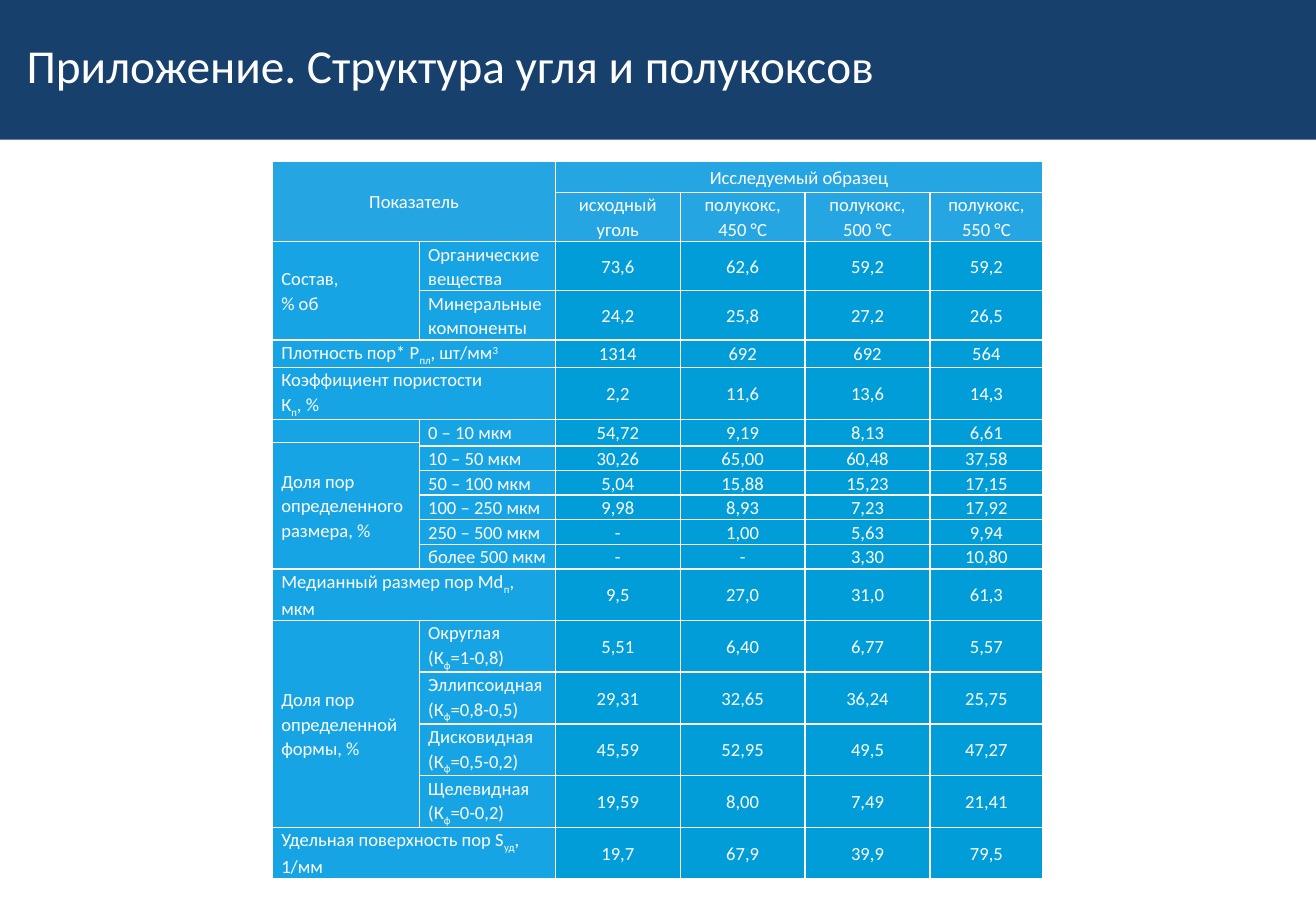
"""Build the appendix slide on the structure of coal and semi-cokes."""
import dataclasses

import lxml.etree
import pptx
import pptx.dml.color
import pptx.enum.text
import pptx.oxml.ns
import pptx.util

Cm, Pt = pptx.util.Cm, pptx.util.Pt
RGB = pptx.dml.color.RGBColor.from_string
ALIGN = pptx.enum.text.PP_ALIGN
MIDDLE = pptx.enum.text.MSO_ANCHOR.MIDDLE
qn = pptx.oxml.ns.qn


@dataclasses.dataclass(frozen=True)
class Theme:
    font: str = "Calibri"
    band: str = "17406D"
    title: str = "FDFDFD"
    text: str = "FFFFFF"
    border: str = "FFFFFF"
    header: str = "25A6E3"
    label: str = "17A4E4"
    value: str = "009DD9"
    title_pt: int = 28
    table_pt: int = 11
    empty_pt: int = 1
    border_pt: int = 1


TITLE = "Приложение. Структура угля и полукоксов"
HEADER_ROWS, LABEL_COLS = 2, 2
COLS = [3.07, 2.84, 2.61, 2.61, 2.61, 2.36]
ROWS = ([0.64, 1.03, 1.03, 1.03, 0.56, 1.09, 0.48, 0.08]
        + [0.51] * 5 + [1.08] * 6)
CELLS = [
    ["Показатель", "", "Исследуемый образец", "", "", ""],
    ["", "", "исходный уголь", "полукокс, 450 °С", "полукокс, 500 °С", "полукокс, 550 °С"],
    ["Состав,\n% об", "Органические вещества", "73,6", "62,6", "59,2", "59,2"],
    ["", "Минеральные компоненты", "24,2", "25,8", "27,2", "26,5"],
    ["Плотность пор* P|_пл|, шт/мм|^3", "", "1314", "692", "692", "564"],
    ["Коэффициент пористости\nК|_п|, %", "", "2,2", "11,6", "13,6", "14,3"],
    ["", "0 – 10 мкм", "54,72", "9,19", "8,13", "6,61"],
    ["Доля пор определенного размера, %", "", "", "", "", ""],
    ["", "10 – 50 мкм", "30,26", "65,00", "60,48", "37,58"],
    ["", "50 – 100 мкм", "5,04", "15,88", "15,23", "17,15"],
    ["", "100 – 250 мкм", "9,98", "8,93", "7,23", "17,92"],
    ["", "250 – 500 мкм", "-", "1,00", "5,63", "9,94"],
    ["", "более 500 мкм", "-", "-", "3,30", "10,80"],
    ["Медианный размер пор Md|_п|, мкм", "", "9,5", "27,0", "31,0", "61,3"],
    ["Доля пор определенной формы, %", "Округлая\n(К|_ф|=1-0,8)", "5,51", "6,40", "6,77", "5,57"],
    ["", "Эллипсоидная (К|_ф|=0,8-0,5)", "29,31", "32,65", "36,24", "25,75"],
    ["", "Дисковидная (К|_ф|=0,5-0,2)", "45,59", "52,95", "49,5", "47,27"],
    ["", "Щелевидная (К|_ф|=0-0,2)", "19,59", "8,00", "7,49", "21,41"],
    ["Удельная поверхность пор S|_уд|, 1/мм", "", "19,7", "67,9", "39,9", "79,5"],
]
SPANS = {(0, 0): (2, 2), (0, 2): (1, 4), (2, 0): (2, 1), (7, 0): (6, 1), (14, 0): (4, 1)}
SPANS.update({(row, 0): (1, 2) for row in (4, 5, 13, 18)})
SPANS.update({(6, col): (2, 1) for col in range(1, 6)})


def assign(obj, values):
    for name, value in values.items():
        setattr(obj, name, value)


class Deck:
    BASELINES = {"_": "-25000", "^": "30000"}

    def __init__(self, prs, theme):
        self.theme = theme
        self.s = prs.slides.add_slide(prs.slide_layouts[5])

    def run(self, p, text, size, color):
        r = p.add_run()
        r.text = text.lstrip("_^")
        assign(r.font, {"name": self.theme.font, "size": Pt(size), "bold": False})
        r.font.color.rgb = RGB(color)
        if text[0] in self.BASELINES:
            r.font._element.set("baseline", self.BASELINES[text[0]])

    def title(self, text, width, height):
        sp = self.s.shapes.title
        assign(sp, {"left": Cm(0), "top": Cm(0), "width": width, "height": height})
        sp.fill.solid()
        sp.fill.fore_color.rgb = RGB(self.theme.band)
        tf = sp.text_frame
        assign(tf, {"vertical_anchor": MIDDLE, "word_wrap": True,
                    "auto_size": pptx.enum.text.MSO_AUTO_SIZE.NONE})
        p = tf.paragraphs[0]
        assign(p, {"alignment": ALIGN.LEFT, "line_spacing": 0.8})
        p._p.get_or_add_pPr().set("marL", str(Cm(0.3)))
        self.run(p, text, self.theme.title_pt, self.theme.title)

    def borders(self, cell):
        tcPr = cell._tc.get_or_add_tcPr()
        for side in ("a:lnL", "a:lnR", "a:lnT", "a:lnB"):
            ln = lxml.etree.SubElement(tcPr, qn(side), w=str(Pt(self.theme.border_pt)))
            fill = lxml.etree.SubElement(ln, qn("a:solidFill"))
            lxml.etree.SubElement(fill, qn("a:srgbClr"), val=self.theme.border)

    def cell(self, cell, text, fill, align):
        assign(cell, {"vertical_anchor": MIDDLE, "margin_left": Cm(0.18),
                      "margin_right": Cm(0.18), "margin_top": 0, "margin_bottom": 0})
        self.borders(cell)
        cell.fill.solid()
        cell.fill.fore_color.rgb = RGB(fill)
        tf = cell.text_frame
        if not text:
            lxml.etree.SubElement(tf.paragraphs[0]._p, qn("a:endParaRPr"),
                                  sz=str(self.theme.empty_pt * 100))
            return
        for i, line in enumerate(text.split("\n")):
            p = tf.add_paragraph() if i else tf.paragraphs[0]
            assign(p, {"alignment": align, "line_spacing": 1.07})
            for part in line.split("|"):
                self.run(p, part, self.theme.table_pt, self.theme.text)

    def table(self, left, top):
        frame = self.s.shapes.add_table(len(ROWS), len(COLS), left, top,
                                        Cm(sum(COLS)), Cm(sum(ROWS)))
        table = frame.table
        assign(table, {"first_row": False, "horz_banding": False})
        for column, width in zip(table.columns, COLS):
            column.width = Cm(width)
        for row, height in zip(table.rows, ROWS):
            row.height = Cm(height)
        for i, texts in enumerate(CELLS):
            for j, text in enumerate(texts):
                fill, align = self.theme.value, ALIGN.CENTER
                if i < HEADER_ROWS:
                    fill = self.theme.header
                elif j < LABEL_COLS:
                    fill, align = self.theme.label, ALIGN.LEFT
                self.cell(table.cell(i, j), text, fill, align)
        for (i, j), (rows, cols) in SPANS.items():
            table.cell(i, j).merge(table.cell(i + rows - 1, j + cols - 1))


def main():
    prs = pptx.Presentation()
    assign(prs, {"slide_width": Cm(27.51), "slide_height": Cm(19.05)})
    deck = Deck(prs, Theme())
    deck.title(TITLE, prs.slide_width, Cm(2.92))
    deck.table(Cm(5.7), Cm(3.38))
    prs.save("out.pptx")


if __name__ == "__main__":
    main()
